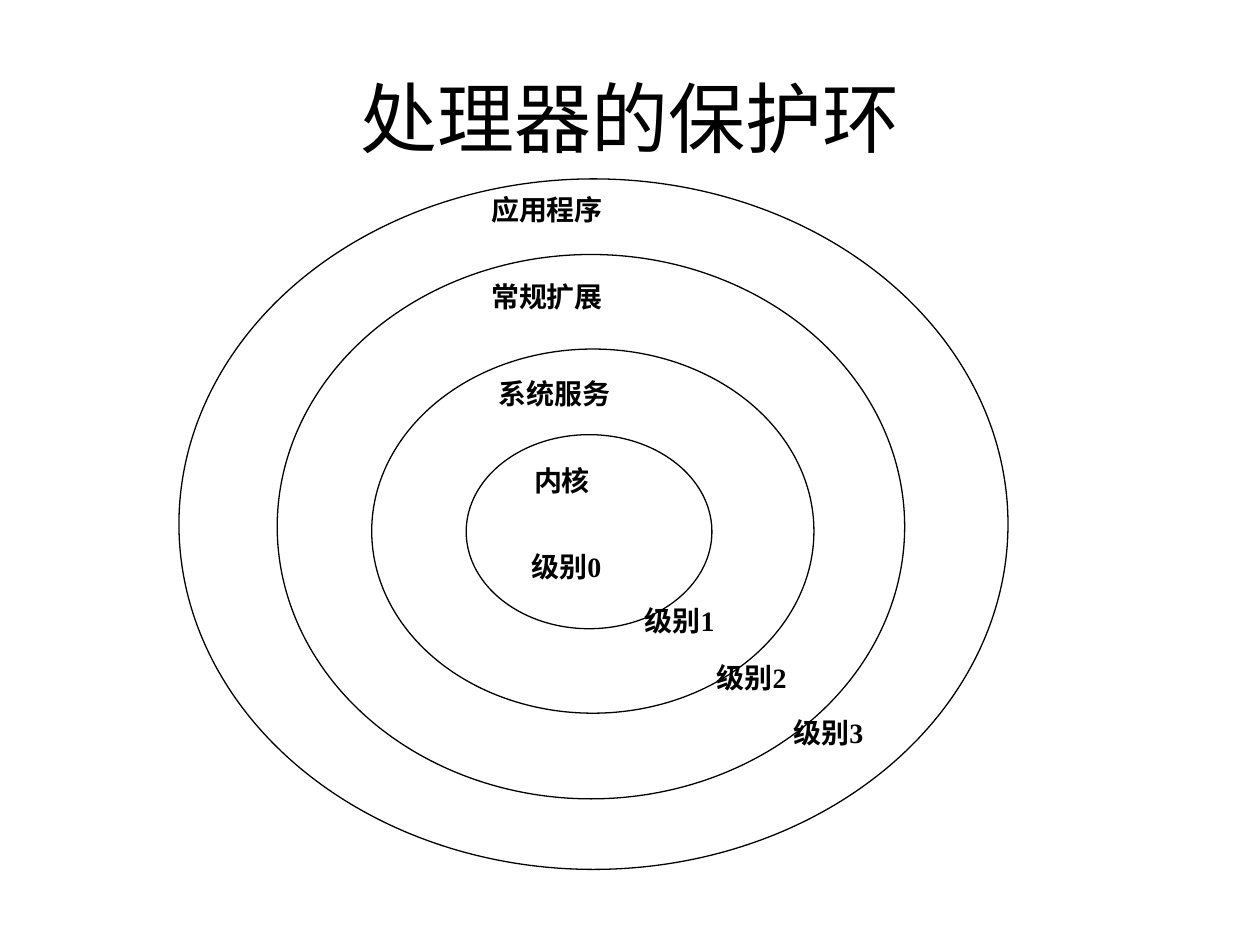
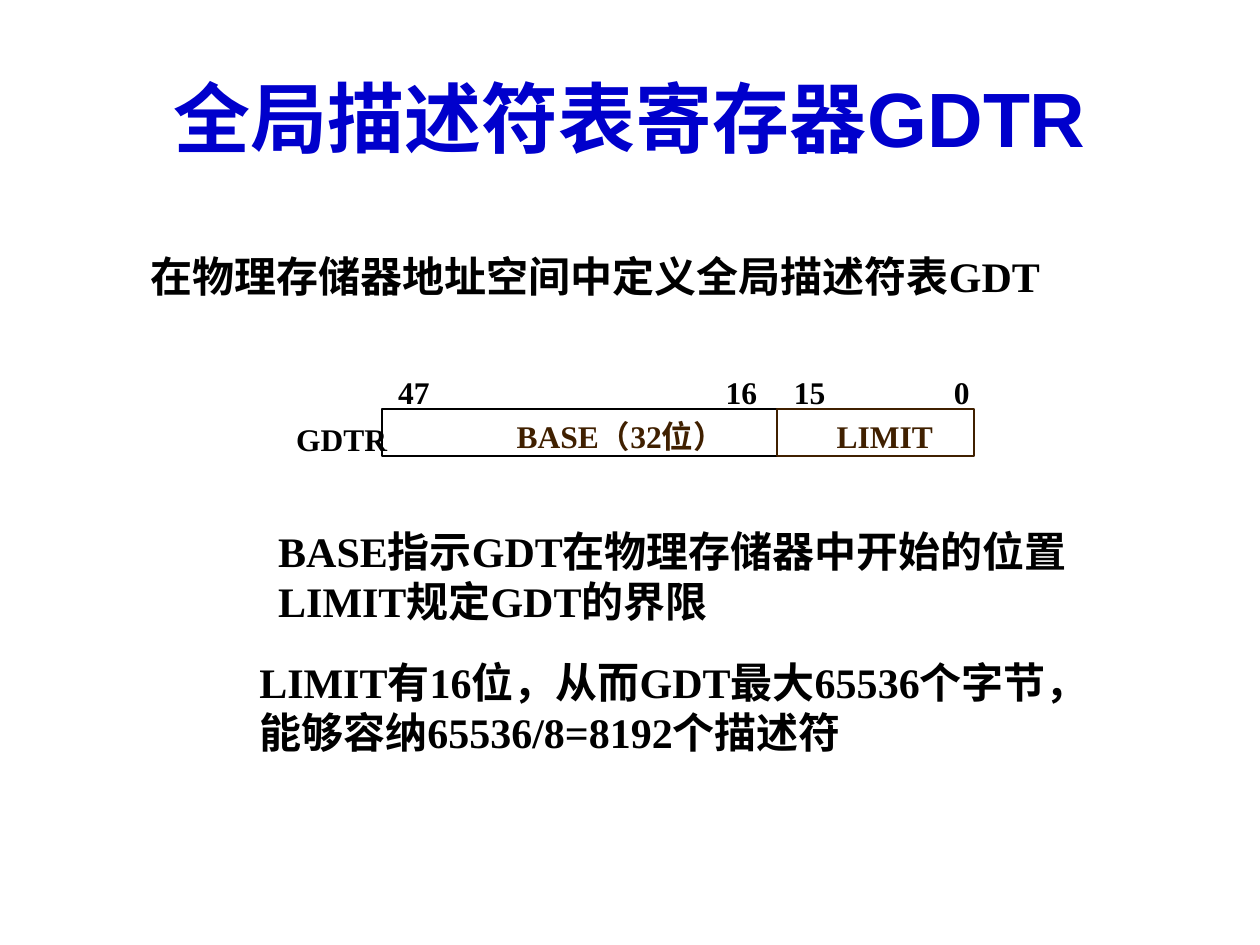
from dataclasses import dataclass

import pptx
import pptx.dml.color
import pptx.enum.shapes
import pptx.enum.text
import pptx.util

Inches = pptx.util.Inches
Pt = pptx.util.Pt
Align = pptx.enum.text.PP_ALIGN
Anchor = pptx.enum.text.MSO_ANCHOR
Shape = pptx.enum.shapes.MSO_SHAPE


@dataclass(frozen=True)
class Theme:
    black: str = "000000"
    blue: str = "0000CC"
    brown: str = "402000"
    title_font: str = "Arial"
    body_font: str = "Times New Roman"
    title_size: int = 44
    body_size: int = 24
    register_size: int = 18
    ring_size: int = 16
    ring_line: float = 0.75
    register_line: float = 1.13


THEME = Theme()

# Slide 1: rings from the kernel outwards (left, top, width, height)
RINGS_TITLE = "处理器的保护环"
RINGS = [
    (3.7, 3.45, 1.95, 1.54),
    (2.95, 2.77, 3.51, 2.89),
    (2.2, 2.02, 4.98, 4.32),
    (1.42, 1.42, 6.58, 5.48),
]
RING_LABEL_WIDTH, RING_LABEL_HEIGHT = 1.2, 0.37
RING_LABELS = [  # text, left, top
    ("应用程序", 3.8, 1.48),
    ("常规扩展", 3.8, 2.17),
    ("系统服务", 3.86, 2.94),
    ("内核", 4.14, 3.63),
    ("级别0", 4.12, 4.31),
    ("级别1", 5.02, 4.74),
    ("级别2", 5.59, 5.19),
    ("级别3", 6.2, 5.63),
]

# Slide 2: register fields, their captions and the explanations
GDTR_TITLE = "全局描述符表寄存器GDTR"
REGISTER_LEFT, REGISTER_TOP, REGISTER_HEIGHT = 3.03, 3.25, 0.37
FIELDS = [(3.14, THEME.black), (1.56, THEME.brown)]  # width, line colour
CAPTION_HEIGHT = 0.3
BIT_TOP, BIT_WIDTH, FIELD_NAME_TOP = 2.96, 0.35, 3.31
CAPTIONS = [  # text, left, top, width, colour
    ("47", 3.16, BIT_TOP, BIT_WIDTH, THEME.black),
    ("16", 5.76, BIT_TOP, BIT_WIDTH, THEME.black),
    ("15", 6.3, BIT_TOP, BIT_WIDTH, THEME.black),
    ("0", 7.57, BIT_TOP, BIT_WIDTH, THEME.black),
    ("GDTR", 2.35, 3.33, 0.85, THEME.black),
    ("BASE（32位）", 4.1, FIELD_NAME_TOP, 2, THEME.brown),
    ("LIMIT", 6.64, FIELD_NAME_TOP, 0.9, THEME.brown),
]
EXPLANATIONS = [  # lines, area
    (["在物理存储器地址空间中定义全局描述符表GDT"], (1.1, 1.94, 7.6, 0.5)),
    (["BASE指示GDT在物理存储器中开始的位置", "LIMIT规定GDT的界限"],
     (2.11, 4.12, 7, 0.9)),
    (["LIMIT有16位，从而GDT最大65536个字节，", "能够容纳65536/8=8192个描述符"],
     (1.96, 5.16, 7.6, 0.9)),
]


def rgb(colour):
    return pptx.dml.color.RGBColor.from_string(colour)


def add_text(shapes, lines, area, size, colour=THEME.black, font=THEME.body_font,
             bold=True, margins=(0.1, 0.05)):
    box = shapes.add_textbox(*map(Inches, area))
    frame = box.text_frame
    frame.text = "\n".join(lines)
    frame.word_wrap = True
    frame.auto_size = pptx.enum.text.MSO_AUTO_SIZE.NONE
    frame.margin_left = frame.margin_right = Inches(margins[0])
    frame.margin_top = frame.margin_bottom = Inches(margins[1])
    for para in frame.paragraphs:
        for span in para.runs:
            span.font.name = font
            span.font.size = Pt(size)
            span.font.bold = bold
            span.font.color.rgb = rgb(colour)
    return box


def add_title(page, text, colour, bold):
    box = add_text(page.shapes, [text], (0.5, 0.3, 9, 1.25), THEME.title_size,
                   colour, THEME.title_font, bold)
    box.text_frame.vertical_anchor = Anchor.MIDDLE
    box.text_frame.paragraphs[0].alignment = Align.CENTER


def add_outline(shapes, kind, area, colour, width):
    outline = shapes.add_shape(kind, *map(Inches, area))
    outline.shadow.inherit = False
    outline.fill.background()
    outline.line.color.rgb = rgb(colour)
    outline.line.width = Pt(width)


def build_rings(page):
    add_title(page, RINGS_TITLE, THEME.black, False)
    diagram = page.shapes.add_group_shape().shapes
    for area in RINGS:
        add_outline(diagram, Shape.OVAL, area, THEME.black, THEME.ring_line)
    for text, left, top in RING_LABELS:
        add_text(diagram, [text], (left, top, RING_LABEL_WIDTH, RING_LABEL_HEIGHT),
                 THEME.ring_size)


def build_register(page):
    add_title(page, GDTR_TITLE, THEME.blue, True)
    # Fields sit side by side
    left = REGISTER_LEFT
    for width, colour in FIELDS:
        add_outline(page.shapes, Shape.RECTANGLE,
                    (left, REGISTER_TOP, width, REGISTER_HEIGHT),
                    colour, THEME.register_line)
        left += width
    for text, left, top, width, colour in CAPTIONS:
        add_text(page.shapes, [text], (left, top, width, CAPTION_HEIGHT),
                 THEME.register_size, colour, margins=(0, 0))
    for lines, area in EXPLANATIONS:
        add_text(page.shapes, lines, area, THEME.body_size)


def main():
    deck = pptx.Presentation()
    deck.slide_width, deck.slide_height = Inches(10), Inches(7.5)
    for build in (build_rings, build_register):
        build(deck.slides.add_slide(deck.slide_layouts[6]))
    deck.save("out.pptx")


if __name__ == "__main__":
    main()
